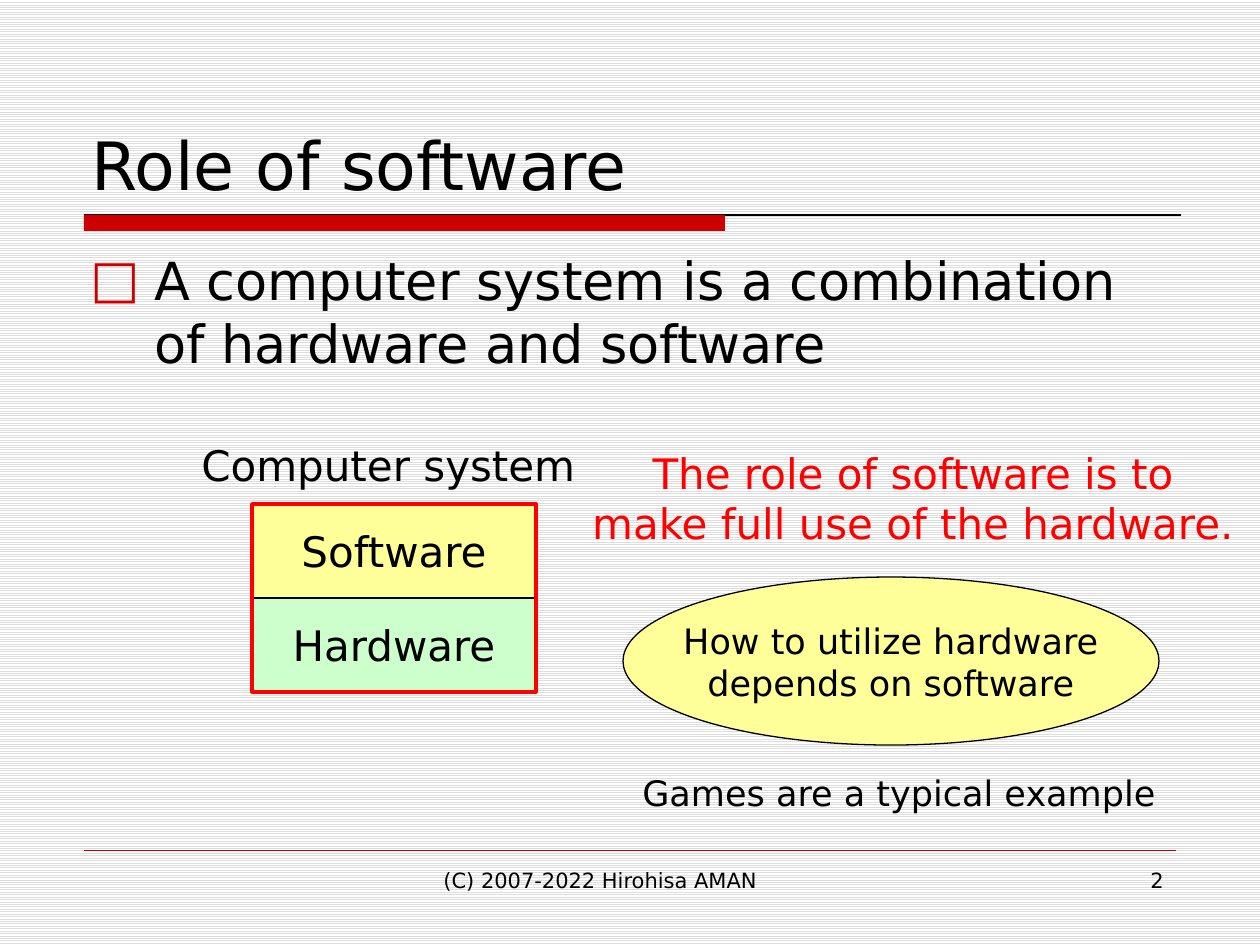
from lxml import etree
from pptx import Presentation
from pptx.dml.color import RGBColor
from pptx.enum.dml import MSO_PATTERN
from pptx.enum.shapes import MSO_CONNECTOR, MSO_SHAPE
from pptx.enum.text import MSO_ANCHOR as ANCHOR, PP_ALIGN as ALIGN
from pptx.oxml.ns import qn
from pptx.util import Pt

EMU_PER_PX = 914400 / 126
FONT = "DejaVu Sans"
BLACK = RGBColor(0x00, 0x00, 0x00)
WHITE = RGBColor(0xFF, 0xFF, 0xFF)
STRIPE = RGBColor(0xDD, 0xDD, 0xDD)
CRIMSON = RGBColor(0xCC, 0x00, 0x00)
RED = RGBColor(0xFF, 0x00, 0x00)
YELLOW = RGBColor(0xFF, 0xFF, 0x99)
GREEN = RGBColor(0xCC, 0xFF, 0xCC)


def px(length):
    return round(length * EMU_PER_PX)


def write(shape, text, size=24, color=BLACK, align=ALIGN.LEFT,
          anchor=ANCHOR.TOP, wrap=True):
    """Fill a shape with text, one paragraph for each line."""
    frame = shape.text_frame
    frame.word_wrap = wrap
    frame.vertical_anchor = anchor
    frame.text = text
    for para in frame.paragraphs:
        para.alignment = align
        for span in para.runs:
            span.font.name = FONT
            span.font.size = Pt(size)
            span.font.color.rgb = color


def add_text(page, place, text, **text_format):
    box = page.shapes.add_textbox(*map(px, place))
    write(box, text, **text_format)
    return box


def add_figure(page, kind, place, fill=None, line=BLACK, width=0.75):
    figure = page.shapes.add_shape(kind, *map(px, place))
    figure.shadow.inherit = False
    if fill is None:
        figure.fill.background()
    else:
        figure.fill.solid()
        figure.fill.fore_color.rgb = fill
    if line is None:
        figure.line.fill.background()
    else:
        figure.line.color.rgb = line
        figure.line.width = Pt(width)
    return figure


def add_label(page, kind, place, fill, text, size=24):
    figure = add_figure(page, kind, place, fill)
    write(figure, text, size=size, align=ALIGN.CENTER,
          anchor=ANCHOR.MIDDLE, wrap=False)


def add_rule(page, left, right, top, color, width):
    rule = page.shapes.add_connector(
        MSO_CONNECTOR.STRAIGHT, px(left), px(top), px(right), px(top))
    rule.line.color.rgb = color
    rule.line.width = Pt(width)
    etree.SubElement(rule.element.spPr, qn("a:effectLst"))


def add_bullet(para, mark, color, indent):
    properties = para._p.get_or_add_pPr()
    properties.set("marL", str(px(indent)))
    properties.set("indent", str(-px(indent)))
    spacing = etree.SubElement(properties, qn("a:spcBef"))
    etree.SubElement(spacing, qn("a:spcPct"), val="20000")
    tint = etree.SubElement(properties, qn("a:buClr"))
    etree.SubElement(tint, qn("a:srgbClr"), val=str(color))
    etree.SubElement(properties, qn("a:buFont"), typeface=FONT)
    etree.SubElement(properties, qn("a:buChar"), char=mark)


def add_frame(page):
    # Striped background
    fill = page.background.fill
    fill.patterned()
    fill.pattern = MSO_PATTERN.LIGHT_HORIZONTAL
    fill.fore_color.rgb = STRIPE
    fill.back_color.rgb = WHITE
    # Title bar and footer rule
    add_rule(page, 84, 1181, 215, BLACK, 0.75)
    add_figure(page, MSO_SHAPE.RECTANGLE, (84, 215, 641, 16), CRIMSON, None)
    add_rule(page, 84, 1176, 850, CRIMSON, 0.25)
    # Footer
    add_text(page, (431, 861, 399, 66), "(C) 2007-2022 Hirohisa AMAN", size=12)
    add_text(page, (903, 861, 273, 66), "2", size=12, align=ALIGN.RIGHT)


def add_system(page):
    left, top, width, height = 252, 504, 284, 94
    layers = [("Software", YELLOW), ("Hardware", GREEN)]
    for row, (name, fill) in enumerate(layers):
        place = (left, top + row * height, width, height)
        add_label(page, MSO_SHAPE.RECTANGLE, place, fill, name)
    outline = (left, top, width, height * len(layers))
    add_figure(page, MSO_SHAPE.RECTANGLE, outline, line=RED, width=2)
    add_text(page, (189, 433, 418, 63), "Computer system", wrap=False)


def add_role(page):
    add_text(page, (577, 441, 672, 115),
             "The role of software is to make full use of the hardware.",
             color=RED, align=ALIGN.CENTER)
    add_label(page, MSO_SHAPE.OVAL, (623, 577, 536, 168), YELLOW,
              "How to utilize hardware\ndepends on software", size=20)
    add_text(page, (630, 765, 542, 55), "Games are a typical example",
             size=20, wrap=False)


def main():
    deck = Presentation()
    deck.slide_width, deck.slide_height = px(1260), px(945)
    page = deck.slides.add_slide(deck.slide_layouts[6])
    add_frame(page)
    # Title and main point
    add_text(page, (79, 42, 1103, 168), "Role of software",
             size=38, anchor=ANCHOR.BOTTOM)
    body = add_text(
        page, (78, 242, 1103, 588),
        "A computer system is a combination of hardware and software", size=30)
    add_bullet(body.text_frame.paragraphs[0], "□", CRIMSON, 64)
    # Diagram and message
    add_system(page)
    add_role(page)
    deck.save("out.pptx")


if __name__ == "__main__":
    main()
